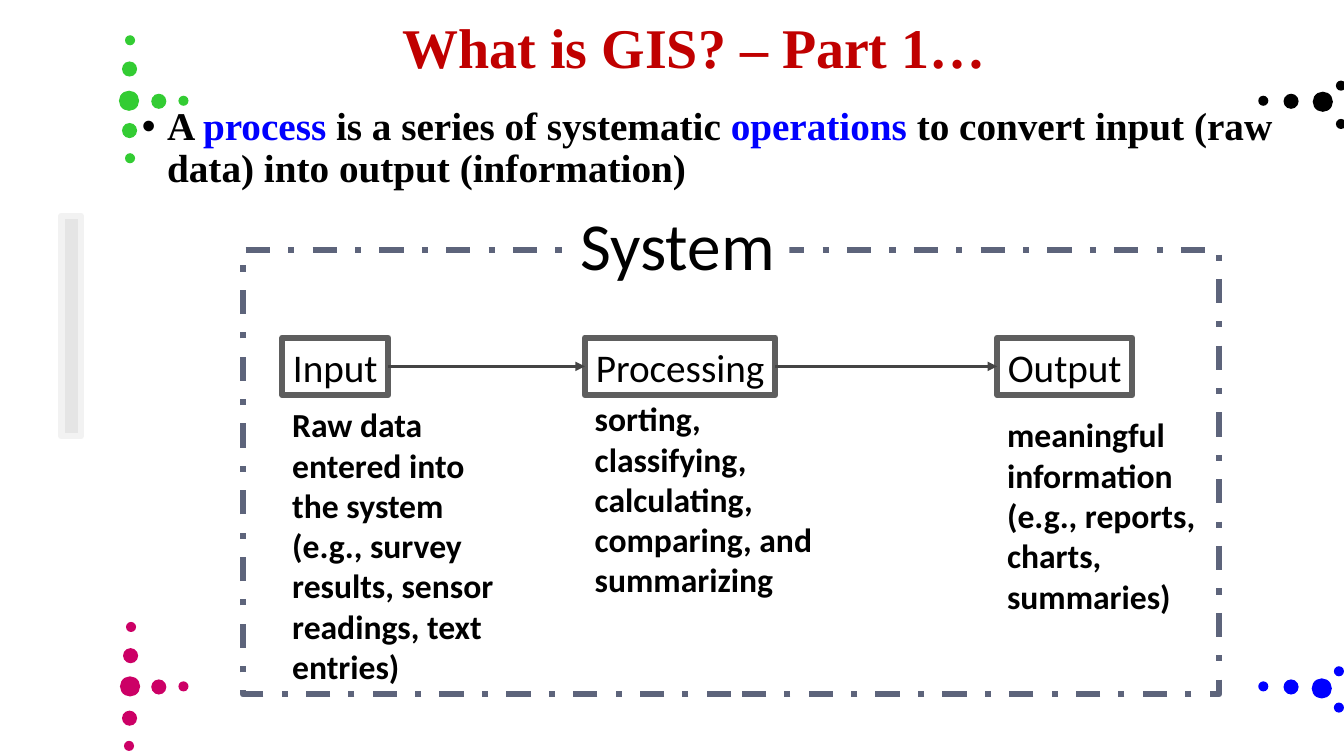
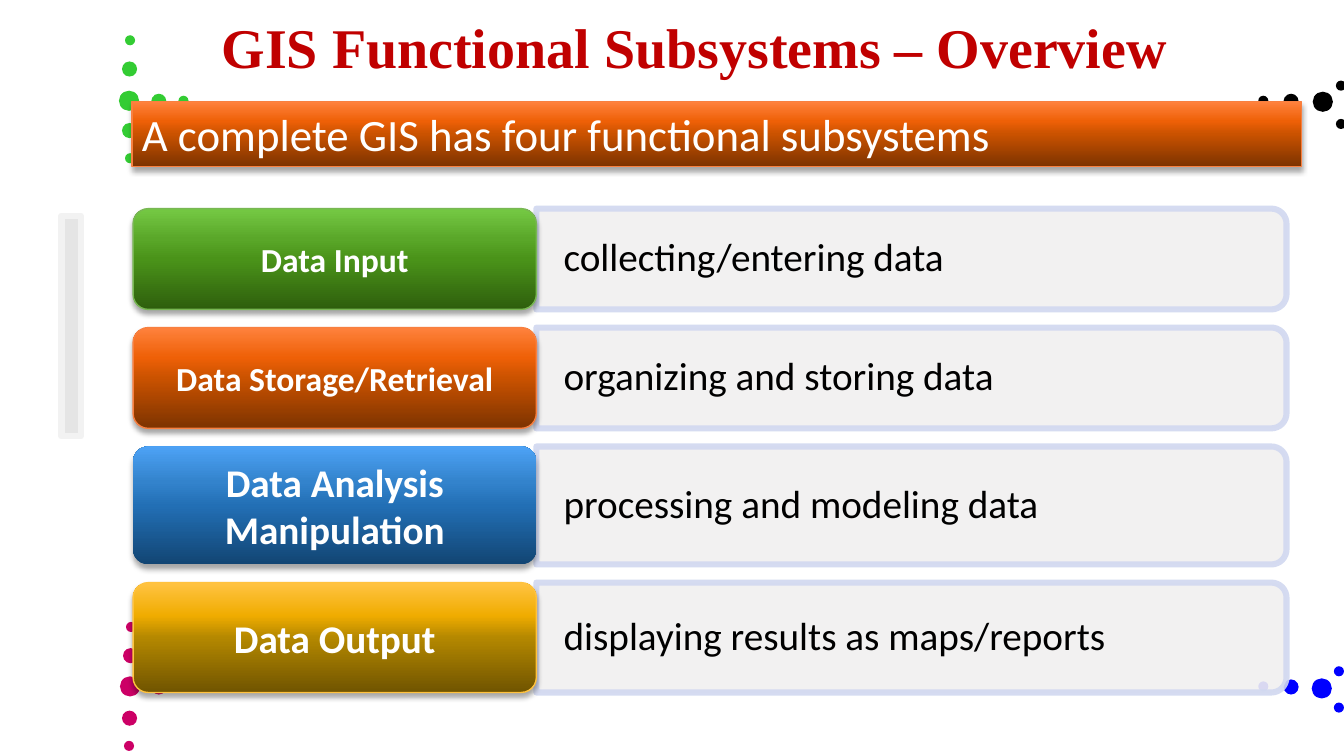
from math import cos, pi, sin

from lxml.etree import SubElement
from pptx import Presentation
from pptx.dml.color import RGBColor
from pptx.enum.dml import MSO_LINE
from pptx.enum.shapes import MSO_CONNECTOR, MSO_SHAPE
from pptx.enum.text import MSO_ANCHOR, PP_ALIGN
from pptx.oxml.ns import qn
from pptx.util import Inches, Pt

COLOURS = {
    "title": "C00000", "text": "000000", "term": "0000FF", "white": "FFFFFF",
    "green": "33CC33", "pink": "CC0066", "blue": "0000FF", "black": "000000",
    "bar": "D9D9D9", "bar_edge": "F2F2F2", "box_edge": "5E5E5E", "arrow": "444444",
    "frame": "5D647B", "panel": "F1F0F0", "panel_edge": "D1D8F0",
}
GRADIENTS = {
    "green": (("2E5E0D", "4A9319", "5AA729", "75C944"), "78B753"),
    "orange": (("7D3300", "CA5200", "EE6007", "FF823D"), "F88040"),
    "blue": (("124573", "226FB5", "3383CC", "4DA2F5"), None),
    "gold": (("705400", "B48800", "F0AC00", "FFC342"), "FFC23E"),
}
GRADIENT_STOPS = (0, 50, 70, 100)
STYLES = {
    "title": {"name": "Times New Roman", "size": Pt(40), "bold": True},
    "body": {"name": "Times New Roman", "size": Pt(28), "bold": True},
    "system": {"name": "Calibri", "size": Pt(48), "bold": False},
    "banner": {"name": "Calibri", "size": Pt(32), "bold": False},
    "plain": {"name": "Calibri", "size": Pt(28), "bold": False},
    "strong": {"name": "Calibri", "size": Pt(28), "bold": True},
    "detail": {"name": "Calibri", "size": Pt(24), "bold": True},
}
DOTS = {
    "green": [(1.18, 0.9, 0.2), (1.21, 0.61, 0.15), (1.24, 0.35, 0.1), (1.21, 1.22, 0.15),
              (1.24, 1.52, 0.1), (1.5, 0.93, 0.15), (1.77, 0.95, 0.1)],
    "pink": [(1.19, 6.71, 0.2), (1.21, 7.05, 0.15), (1.23, 7.35, 0.1), (1.22, 6.43, 0.15),
             (1.25, 6.17, 0.1), (1.5, 6.74, 0.15), (1.77, 6.76, 0.1)],
    "black": [(13.02, 0.91, 0.2), (13.25, 0.8, 0.1), (13.25, 1.18, 0.1),
              (12.73, 0.93, 0.15), (12.48, 0.95, 0.1)],
    "blue": [(13.01, 6.73, 0.2), (13.23, 6.61, 0.1), (13.23, 6.97, 0.1),
             (12.73, 6.74, 0.15), (12.48, 6.76, 0.1)],
}
DEFINITION = [
    ("A ", "text"), ("process", "term"), (" is a series of systematic ", "text"),
    ("operations ", "term"),
    ("to convert input (raw data) into output (information)", "text"),
]
STEPS = [
    ("Input", 2.8, 1.05,
     "Raw data entered into the system (e.g., survey results, sensor readings, text entries)",
     (2.8, 3.96, 2.3, 2.93)),
    ("Processing", 5.8, 1.89,
     "sorting, classifying, calculating, comparing, and summarizing",
     (5.8, 3.9, 2.42, 2.12)),
    ("Output", 9.89, 1.34,
     "meaningful information (e.g., reports, charts, summaries)",
     (9.89, 4.06, 2.2, 2.12)),
]
SUBSYSTEMS = [
    ("Data Input", "collecting/entering data", "green", "detail", 1),
    ("Data Storage/Retrieval", "organizing and storing data", "orange", "detail", 1),
    ("Data Analysis Manipulation", "processing and modeling data", "blue", "strong", 1.17),
    ("Data Output", "displaying results as maps/reports", "gold", "strong", 1.09),
]
STEP_TOP, STEP_HEIGHT = 3.35, 0.57
ROW_TOP, ROW_GAP, CORNER = 2.07, 0.18, 0.15
LABEL_LEFT, LABEL_WIDTH, PANEL_WIDTH = 1.32, 4, 7.44
EDGE = 4.33


def rgb(name):
    return RGBColor.from_string(COLOURS.get(name, name))


def paint(shape, fill=None, line=None, width=EDGE):
    shape.shadow.inherit = False
    if fill:
        shape.fill.solid()
        shape.fill.fore_color.rgb = rgb(fill)
    else:
        shape.fill.background()
    outline(shape, line, width)


def outline(shape, line, width):
    if line:
        shape.line.color.rgb = rgb(line)
        shape.line.width = Pt(width)
    else:
        shape.line.fill.background()


def set_opacity(solid, percent):
    SubElement(solid.find(qn("a:srgbClr")), qn("a:alpha"), val=str(percent * 1000))


def glossy(shape, scheme):
    colours, line = GRADIENTS[scheme]
    shape.fill.gradient()
    shape.fill.gradient_angle = 90
    properties = shape.element.spPr
    stops = properties.find(qn("a:gradFill")).find(qn("a:gsLst"))
    for old_stop in list(stops):
        stops.remove(old_stop)
    for position, colour in zip(GRADIENT_STOPS, colours):
        stop = SubElement(stops, qn("a:gs"), pos=str(position * 1000))
        SubElement(stop, qn("a:srgbClr"), val=colour)
    outline(shape, line, 1)
    shape.shadow.inherit = False
    shadow = SubElement(properties.find(qn("a:effectLst")), qn("a:outerShdw"),
                        blurRad=str(Pt(4)), dist=str(Pt(3)), dir="5400000", rotWithShape="0")
    tint = SubElement(shadow, qn("a:srgbClr"), val=COLOURS["black"])
    SubElement(tint, qn("a:alpha"), val="35000")


def write(shape, runs, style, align=PP_ALIGN.LEFT, anchor=MSO_ANCHOR.TOP, wrap=True,
          spacing=None, insets=(0.1, 0.05), bullet=False):
    frame = shape.text_frame
    frame.word_wrap = wrap
    frame.vertical_anchor = anchor
    frame.margin_left = frame.margin_right = Inches(insets[0])
    frame.margin_top = frame.margin_bottom = Inches(insets[1])
    para = frame.paragraphs[0]
    para.alignment = align
    if spacing:
        para.line_spacing = spacing
    if bullet:
        properties = para._p.get_or_add_pPr()
        properties.set("marL", str(Inches(0.25)))
        properties.set("indent", str(-Inches(0.25)))
        SubElement(properties, qn("a:buFont"), typeface="Arial")
        SubElement(properties, qn("a:buChar"), char="•")
    for text, colour in runs:
        span = para.add_run()
        span.text = text
        for attribute, value in STYLES[style].items():
            setattr(span.font, attribute, value)
        span.font.color.rgb = rgb(colour)


def add_box(page, place, kind=MSO_SHAPE.RECTANGLE):
    return page.shapes.add_shape(kind, *map(Inches, place))


def add_text(page, place, runs, style, **options):
    box = page.shapes.add_textbox(*map(Inches, place))
    write(box, runs, style, **options)


def add_page(deck, title):
    page = deck.slides.add_slide(deck.slide_layouts[6])
    for colour, dots in DOTS.items():
        for left, top, size in dots:
            paint(add_box(page, (left, top, size, size), MSO_SHAPE.OVAL), colour)
    bar = add_box(page, (0.61, 2.14, 0.19, 2.19))
    paint(bar, "bar", "bar_edge")
    set_opacity(bar.element.spPr.find(qn("a:solidFill")), 67)
    add_text(page, (1.31, 0, 11.15, 0.99), [(title, "title")], "title",
             align=PP_ALIGN.CENTER, anchor=MSO_ANCHOR.MIDDLE, spacing=0.9)
    return page


def add_arrow(page, source, target):
    arrow = page.shapes.add_connector(MSO_CONNECTOR.STRAIGHT, 0, 0, 0, 0)
    arrow.begin_connect(source, 3)
    arrow.end_connect(target, 1)
    outline(arrow, "arrow", 2.25)
    SubElement(arrow.line._get_or_add_ln(), qn("a:tailEnd"), type="triangle")
    SubElement(arrow._element.spPr, qn("a:effectLst"))


def add_panel(page, left, top, width, height):
    right, bottom = left + width, top + height
    points = [(left, top)]
    for centre_y, start in ((top + CORNER, -pi / 2), (bottom - CORNER, 0)):
        for step in range(9):
            angle = start + step * pi / 16
            points.append((right - CORNER + CORNER * cos(angle), centre_y + CORNER * sin(angle)))
    points.append((left, bottom))
    corners = [(Inches(x), Inches(y)) for x, y in points]
    builder = page.shapes.build_freeform(*corners[0])
    builder.add_line_segments(corners[1:], close=True)
    panel = builder.convert_to_shape()
    paint(panel, "panel", "panel_edge")
    properties = panel.element.spPr
    for owner in (properties, properties.find(qn("a:ln"))):
        set_opacity(owner.find(qn("a:solidFill")), 90)
    return panel


def build_process_page(deck):
    page = add_page(deck, "What is GIS? – Part 1…")
    add_text(page, (1.31, 1.01, 11.6, 0.95), DEFINITION, "body", spacing=0.9, bullet=True)
    boxes = []
    for name, left, width, detail, place in STEPS:
        add_text(page, place, [(detail, "text")], "detail")
        box = add_box(page, (left, STEP_TOP, width, STEP_HEIGHT))
        paint(box, "white", "box_edge")
        write(box, [(name, "text")], "plain", align=PP_ALIGN.CENTER,
              anchor=MSO_ANCHOR.MIDDLE, wrap=False)
        boxes.append(box)
    for source, target in zip(boxes, boxes[1:]):
        add_arrow(page, source, target)
    frame = add_box(page, (2.41, 2.48, 9.68, 4.41))
    paint(frame, line="frame")
    frame.line.dash_style = MSO_LINE.DASH_DOT
    heading = add_box(page, (5.66, 1.97, 2.17, 0.91))
    paint(heading, "white")
    write(heading, [("System", "text")], "system")


def build_subsystems_page(deck):
    page = add_page(deck, "GIS Functional Subsystems – Overview")
    banner = add_box(page, (1.31, 1.01, 11.6, 0.64))
    glossy(banner, "orange")
    write(banner, [("A complete GIS has four functional subsystems", "white")], "banner")
    top = ROW_TOP
    for name, purpose, scheme, style, height in SUBSYSTEMS:
        panel = add_panel(page, LABEL_LEFT + LABEL_WIDTH, top, PANEL_WIDTH, height)
        write(panel, [(purpose, "text")], "plain", anchor=MSO_ANCHOR.MIDDLE,
              spacing=0.9, insets=(0.27, 0.17))
        label = add_box(page, (LABEL_LEFT, top, LABEL_WIDTH, height),
                        MSO_SHAPE.ROUNDED_RECTANGLE)
        label.adjustments[0] = CORNER / height
        glossy(label, scheme)
        write(label, [(name, "white")], style, align=PP_ALIGN.CENTER,
              anchor=MSO_ANCHOR.MIDDLE, insets=(0.15, 0.1))
        top += height + ROW_GAP


def main():
    deck = Presentation()
    deck.slide_width, deck.slide_height = Inches(13.33), Inches(7.5)
    build_process_page(deck)
    build_subsystems_page(deck)
    deck.save("out.pptx")


if __name__ == "__main__":
    main()
